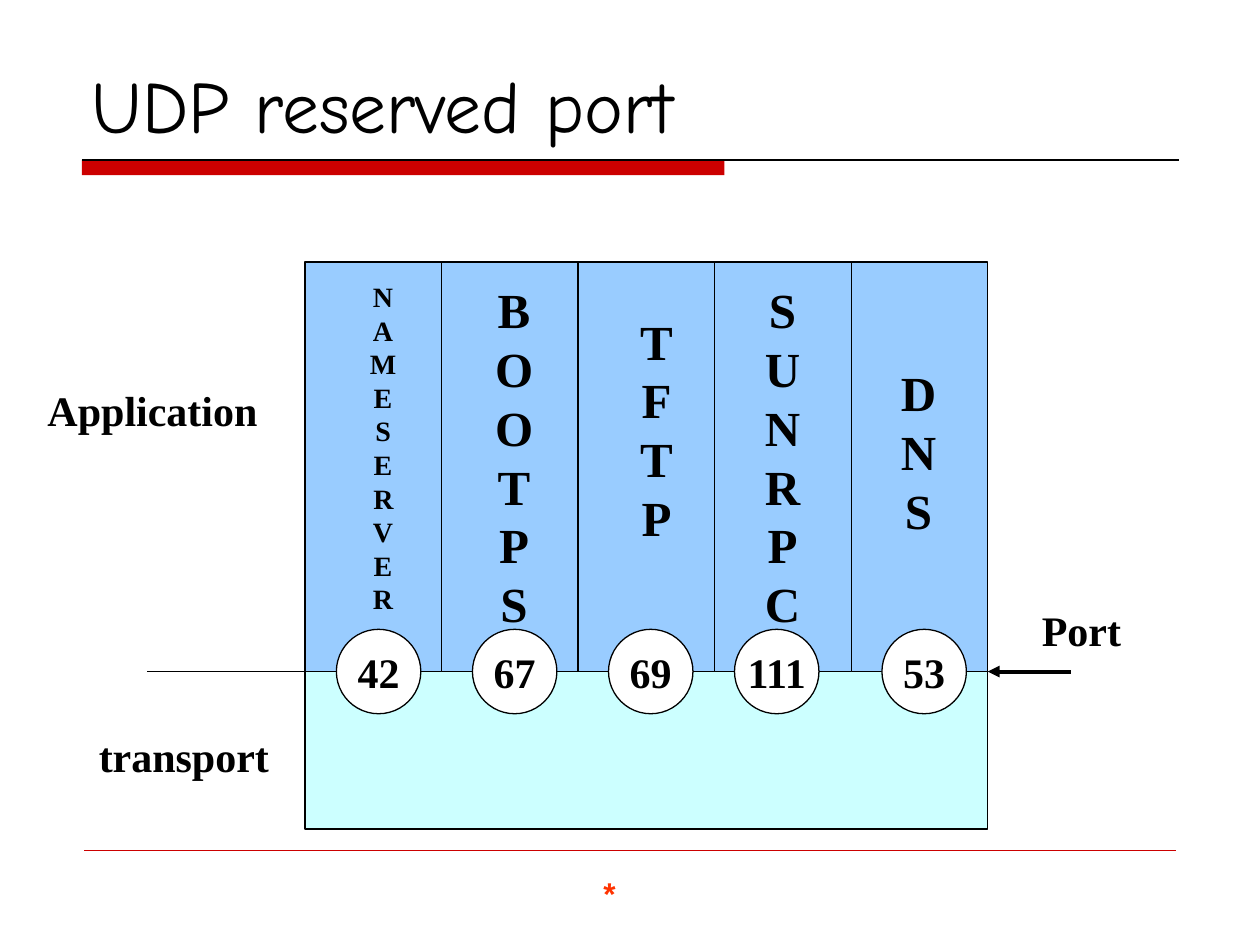
import pptx
import pptx.util
import pptx.dml.color
import pptx.enum.shapes
import pptx.enum.text
import pptx.oxml
import pptx.oxml.ns
from pptx.util import Inches

SHAPE = pptx.enum.shapes.MSO_SHAPE
ALIGN = pptx.enum.text.PP_ALIGN
ANCHOR = pptx.enum.text.MSO_ANCHOR
SERIF = "Times New Roman"

# Content: service name, port, name box (left, top, width, height), size, circle left
SERVICES = [
    ("NAMESERVER", "42", (2.83, 2.17, 0.42, 2.77), 16, 2.67),
    ("BOOTPS", "67", (3.83, 2.17, 0.5, 2.9), 28, 3.75),
    ("TFTP", "69", (4.92, 2.42, 0.58, 1.97), 28, 4.83),
    ("SUNRPC", "111", (5.92, 2.17, 0.58, 2.9), 28, 5.83),
    ("DNS", "53", (7, 2.83, 0.58, 1.5), 28, 7),
]
LABELS = [
    ("Application", (0, 3, 2.42, 0.5), ALIGN.CENTER),
    ("transport", (0.51, 5.75, 1.9, 0.5), ALIGN.CENTER),
    ("Port", (8.17, 4.75, 0.83, 0.5), ALIGN.LEFT),
]

# Diagram grid
LEFT, TOP, BOUNDARY = 2.42, 2.08, 5.33
WIDTH, TRANSPORT_HEIGHT = 5.42, 1.25
COLUMN = WIDTH / len(SERVICES)
CIRCLE = 0.67


def color(value):
    return pptx.dml.color.RGBColor.from_string(value)


def write(shape, text, size, font=SERIF, ink="000000", bold=True,
          align=ALIGN.CENTER, anchor=ANCHOR.TOP, wrap=True):
    frame = shape.text_frame
    frame.word_wrap = wrap
    frame.vertical_anchor = anchor
    paragraph = frame.paragraphs[0]
    paragraph.alignment = align
    run = paragraph.add_run()
    run.text = text
    formats = {"name": font, "size": pptx.util.Pt(size), "bold": bold}
    for name, value in formats.items():
        setattr(run.font, name, value)
    run.font.color.rgb = color(ink)


def add_text(slide, box, text, size, **formats):
    write(slide.shapes.add_textbox(*map(Inches, box)), text, size, **formats)


def add_box(slide, kind, box, fill, line="000000"):
    shape = slide.shapes.add_shape(kind, *map(Inches, box))
    shape.shadow.inherit = False
    shape.fill.solid()
    shape.fill.fore_color.rgb = color(fill)
    if line:
        shape.line.color.rgb = color(line)
        shape.line.width = pptx.util.Pt(0.75)
    else:
        shape.line.fill.background()
    return shape


def add_line(slide, start, end, ink="000000", width=0.75, arrow=False):
    line = slide.shapes.add_connector(
        pptx.enum.shapes.MSO_CONNECTOR.STRAIGHT, *map(Inches, start + end))
    line.line.color.rgb = color(ink)
    line.line.width = pptx.util.Pt(width)
    properties = line.element.spPr
    if arrow:
        head = pptx.oxml.ns.qn("a:headEnd")
        line.line._get_or_add_ln().append(
            properties.makeelement(head, {"type": "triangle"}))
    properties.append(properties.makeelement(pptx.oxml.ns.qn("a:effectLst"), {}))


def main():
    presentation = pptx.Presentation()
    presentation.slide_width = Inches(10)
    presentation.slide_height = Inches(7.5)
    slide = presentation.slides.add_slide(presentation.slide_layouts[5])

    # Title, rules and footer mark
    title = slide.shapes.title
    place = {"left": 0.63, "top": 0.33, "width": 8.75, "height": 0.9}
    for name, value in place.items():
        setattr(title, name, Inches(value))
    write(title, "UDP reserved port", 42, font="Comic Neue", bold=False,
          align=ALIGN.LEFT, anchor=ANCHOR.BOTTOM)
    add_box(slide, SHAPE.RECTANGLE, (0.65, 1.27, 5.1, 0.12), "CC0000", line=None)
    add_line(slide, (0.65, 1.27), (9.36, 1.27))
    add_line(slide, (0.67, 6.75), (9.33, 6.75), "CC0000", 0.25)
    add_text(slide, (4.69, 6.89, 0.75, 0.4), "*", 18, font="Arial",
             ink="FF3300", align=ALIGN.LEFT)

    # Transport layer and application columns
    add_box(slide, SHAPE.RECTANGLE, (LEFT, BOUNDARY, WIDTH, TRANSPORT_HEIGHT), "CCFFFF")
    add_line(slide, (1.17, BOUNDARY), (LEFT, BOUNDARY))
    for index in range(len(SERVICES)):
        add_box(slide, SHAPE.RECTANGLE,
                (LEFT + index * COLUMN, TOP, COLUMN, BOUNDARY - TOP), "99CCFF")

    # Service names, one letter per line in narrow boxes, and port circles
    for service, port, box, size, circle_left in SERVICES:
        add_text(slide, box, service, size)
        circle = add_box(slide, SHAPE.OVAL,
                         (circle_left, BOUNDARY - CIRCLE / 2, CIRCLE, CIRCLE), "FFFFFF")
        write(circle, port, 24, anchor=ANCHOR.MIDDLE, wrap=False)

    # Labels and port arrow
    add_line(slide, (LEFT + WIDTH, BOUNDARY), (8.5, BOUNDARY), width=2.25, arrow=True)
    for text, box, align in LABELS:
        add_text(slide, box, text, 24, align=align)

    presentation.save("out.pptx")


if __name__ == "__main__":
    main()
